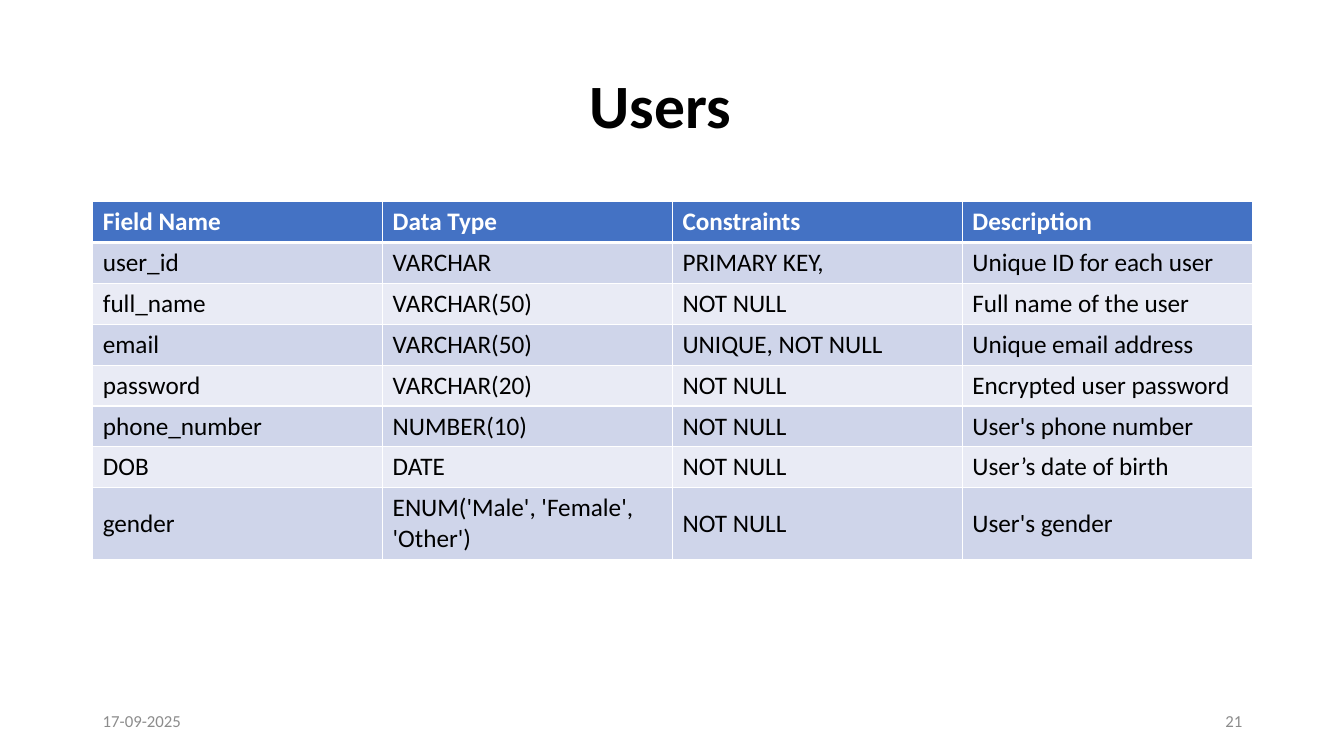
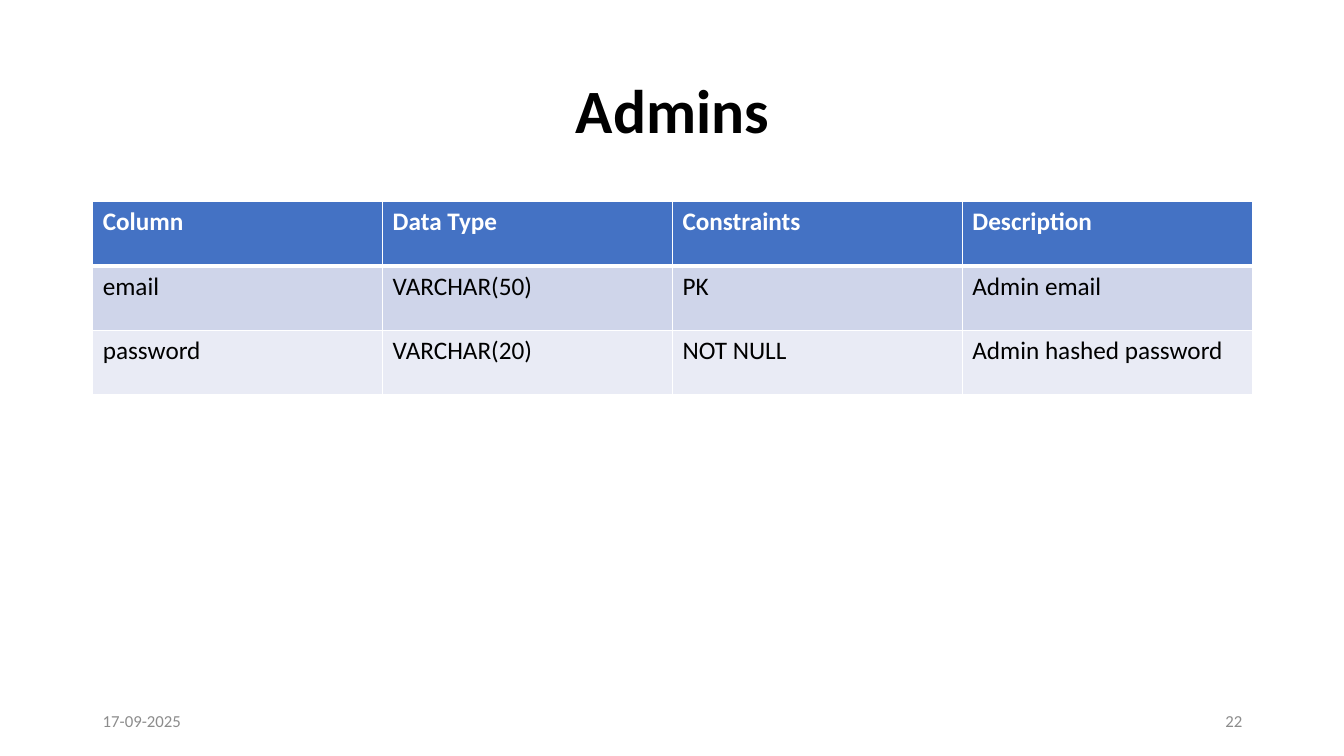
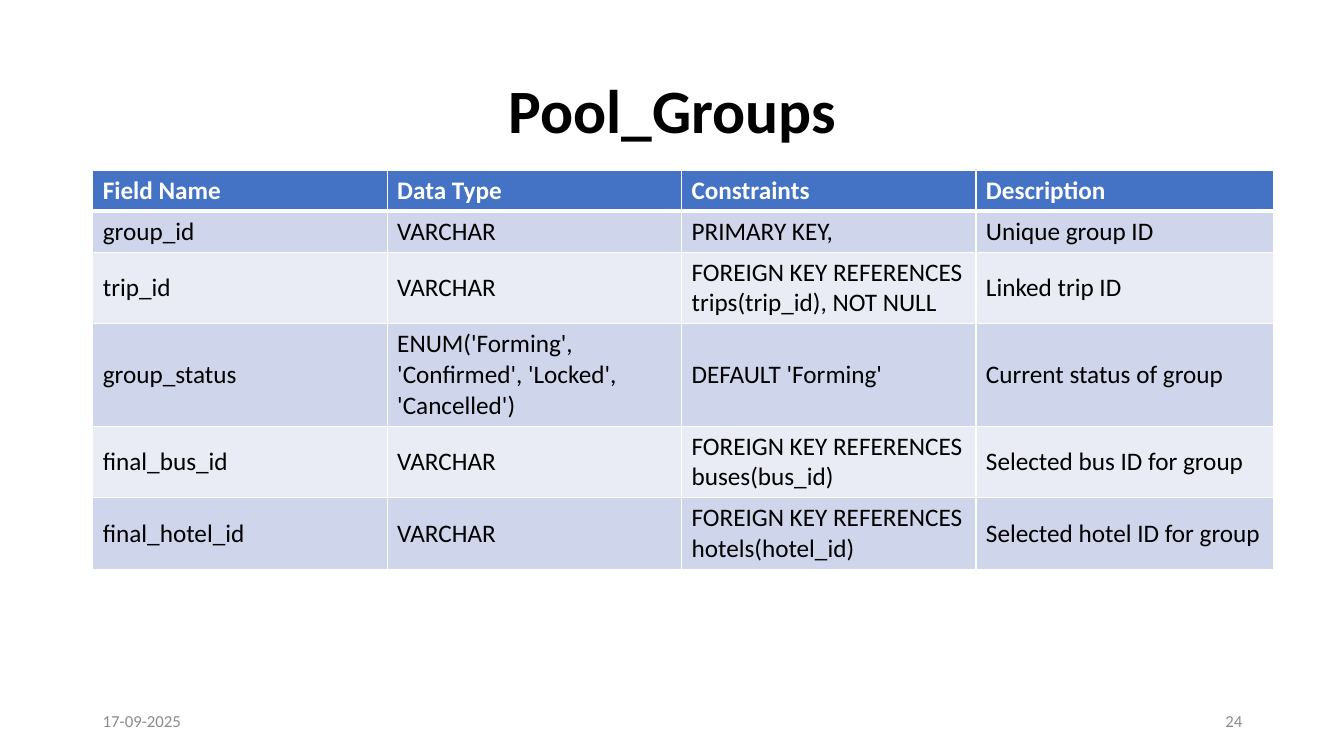
from dataclasses import dataclass

from lxml.etree import SubElement
from pptx import Presentation
from pptx.dml.color import RGBColor
from pptx.enum.text import MSO_ANCHOR, MSO_AUTO_SIZE, PP_ALIGN
from pptx.oxml.ns import qn
from pptx.slide import Slide
from pptx.table import _Cell as Cell
from pptx.text.text import TextFrame
from pptx.util import Inches, Pt


@dataclass(frozen=True)
class Theme:
    font: str = "Calibri"
    ink: str = "000000"
    paper: str = "FFFFFF"
    head: str = "4472C4"
    bands: tuple[str, str] = ("CFD5EA", "E9EBF5")
    muted: str = "8C8C8C"
    title: int = 44
    body: int = 18
    small: int = 12
    rule: int = 1
    thick: int = 3


@dataclass(frozen=True)
class Grid:
    wide: float = 13.33
    high: float = 7.5
    left: float = 0.92
    span: float = 11.5
    count: int = 4
    line: float = 0.3
    pad: float = 0.1
    foot: float = 6.95

    @property
    def col(self) -> float:
        return self.span / self.count


@dataclass(frozen=True)
class Box:
    left: float
    top: float
    width: float
    height: float


THEME = Theme()
GRID = Grid()
TITLE = Box(GRID.left, 0.4, GRID.span, 1.45)
DATE = Box(GRID.left, GRID.foot, 3, 0.4)
PAGE = Box(GRID.left + GRID.span - 3, GRID.foot, 3, 0.4)


@dataclass(frozen=True)
class Page:
    """One database table; lines gives the text lines of each row."""
    name: str
    number: int
    rows: list[tuple[str, str, str, str]]
    lines: tuple[int, ...]
    title: Box = TITLE
    top: float = 2
    cols: tuple[float, ...] = (GRID.col,) * GRID.count
    least: float = 0
    anchor: MSO_ANCHOR = MSO_ANCHOR.MIDDLE


FIELDS = ("Field Name", "Data Type", "Constraints", "Description")

PAGES = [
    Page("Users", 21, [
        FIELDS,
        ("user_id", "VARCHAR", "PRIMARY KEY,", "Unique ID for each user"),
        ("full_name", "VARCHAR(50)", "NOT NULL", "Full name of the user"),
        ("email", "VARCHAR(50)", "UNIQUE, NOT NULL", "Unique email address"),
        ("password", "VARCHAR(20)", "NOT NULL", "Encrypted user password"),
        ("phone_number", "NUMBER(10)", "NOT NULL", "User's phone number"),
        ("DOB", "DATE", "NOT NULL", "User’s date of birth"),
        ("gender", "ENUM('Male', 'Female', 'Other')", "NOT NULL", "User's gender"),
    ], lines=(1, 1, 1, 1, 1, 1, 1, 2), title=Box(0.8, 0.35, GRID.span, 1.45)),
    Page("Admins", 22, [
        ("Column", *FIELDS[1:]),
        ("email", "VARCHAR(50)", "PK", "Admin email"),
        ("password", "VARCHAR(20)", "NOT NULL", "Admin hashed password"),
    ], lines=(1, 1, 1), least=0.64, anchor=MSO_ANCHOR.TOP),
    Page("Pool_Groups", 24, [
        FIELDS,
        ("group_id", "VARCHAR", "PRIMARY KEY,", "Unique group ID"),
        ("trip_id", "VARCHAR", "FOREIGN KEY REFERENCES trips(trip_id), NOT NULL",
         "Linked trip ID"),
        ("group_status", "ENUM('Forming', 'Confirmed', 'Locked', 'Cancelled')",
         "DEFAULT 'Forming'", "Current status of group"),
        ("final_bus_id", "VARCHAR", "FOREIGN KEY REFERENCES buses(bus_id)",
         "Selected bus ID for group"),
        ("final_hotel_id", "VARCHAR", "FOREIGN KEY REFERENCES hotels(hotel_id)",
         "Selected hotel ID for group"),
    ], lines=(1, 1, 2, 3, 2, 2), top=1.69, cols=(2.92, 2.92, 2.92, 2.95)),
]


def place(box: Box) -> tuple[int, int, int, int]:
    return (Inches(box.left), Inches(box.top),
            Inches(box.width), Inches(box.height))


def write(frame: TextFrame, text: str, *, size: int, color: str = THEME.ink,
          bold: bool = False, align: PP_ALIGN = PP_ALIGN.LEFT,
          space: float = 1) -> None:
    frame.text = text
    frame.word_wrap = True
    para = frame.paragraphs[0]
    para.alignment = align
    para.line_spacing = space
    font = para.runs[0].font
    font.name, font.size, font.bold = THEME.font, Pt(size), bold
    font.color.rgb = RGBColor.from_string(color)


def edge(cell: Cell, top: int, bottom: int) -> None:
    """Rule all four sides of a cell, with its own top and bottom widths."""
    props = cell._tc.get_or_add_tcPr()
    sides = {"L": THEME.rule, "R": THEME.rule, "T": top, "B": bottom}
    for side, width in sides.items():
        line = SubElement(props, qn(f"a:ln{side}"), w=str(Pt(width)))
        fill = SubElement(line, qn("a:solidFill"))
        SubElement(fill, qn("a:srgbClr"), val=THEME.paper)


def draw_title(slide: Slide, page: Page) -> None:
    title = slide.shapes.title
    title.left, title.top, title.width, title.height = place(page.title)
    frame = title.text_frame
    frame.auto_size = MSO_AUTO_SIZE.NONE
    frame.vertical_anchor = MSO_ANCHOR.MIDDLE
    write(frame, page.name, size=THEME.title, bold=True,
          align=PP_ALIGN.CENTER, space=0.9)


def draw_table(slide: Slide, page: Page) -> None:
    highs = [max(page.least, GRID.pad + GRID.line * n) for n in page.lines]
    box = Box(GRID.left, page.top, sum(page.cols), sum(highs))
    table = slide.shapes.add_table(
        len(page.rows), len(page.cols), *place(box)).table
    for col, width in zip(table.columns, page.cols):
        col.width = Inches(width)
    for i, (row, high, texts) in enumerate(zip(table.rows, highs, page.rows)):
        row.height = Inches(high)
        head = i == 0
        fill = THEME.head if head else THEME.bands[(i - 1) % 2]
        for cell, text in zip(row.cells, texts):
            edge(cell, THEME.thick if i == 1 else THEME.rule,
                 THEME.thick if head else THEME.rule)
            cell.fill.solid()
            cell.fill.fore_color.rgb = RGBColor.from_string(fill)
            cell.vertical_anchor = page.anchor
            write(cell.text_frame, text, size=THEME.body, bold=head,
                  color=THEME.paper if head else THEME.ink)


def draw_foot(slide: Slide, page: Page) -> None:
    for box, text, align in ((DATE, "17-09-2025", PP_ALIGN.LEFT),
                             (PAGE, str(page.number), PP_ALIGN.RIGHT)):
        frame = slide.shapes.add_textbox(*place(box)).text_frame
        frame.vertical_anchor = MSO_ANCHOR.MIDDLE
        write(frame, text, size=THEME.small, color=THEME.muted, align=align)


def main() -> None:
    deck = Presentation()
    deck.slide_width, deck.slide_height = Inches(GRID.wide), Inches(GRID.high)
    layout = deck.slide_layouts.get_by_name("Title Only")
    for page in PAGES:
        slide = deck.slides.add_slide(layout)
        draw_title(slide, page)
        draw_table(slide, page)
        draw_foot(slide, page)
    deck.save("out.pptx")


if __name__ == "__main__":
    main()
